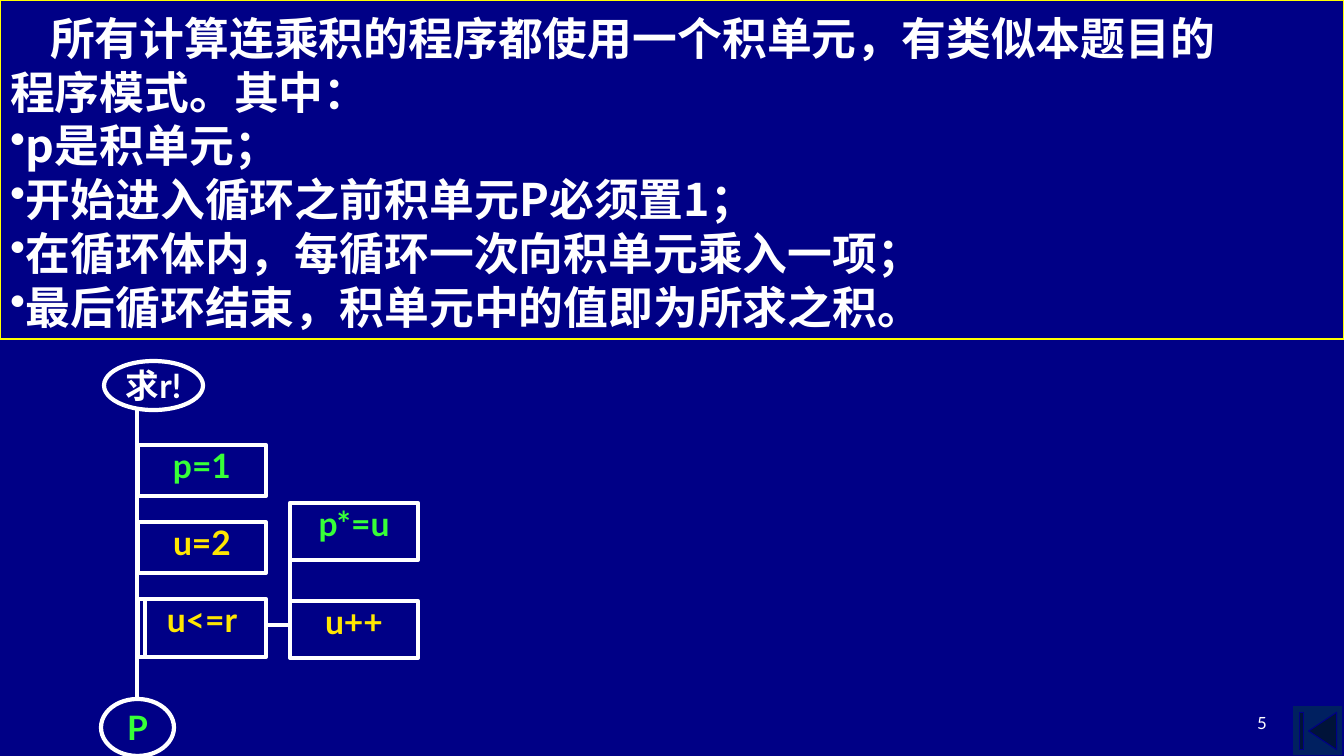
from lxml import etree
from pptx import Presentation
from pptx.dml.color import RGBColor
from pptx.enum.shapes import MSO_CONNECTOR, MSO_SHAPE
from pptx.enum.text import MSO_ANCHOR, PP_ALIGN
from pptx.oxml.ns import qn
from pptx.util import Pt

PX = 914400 / 100.8
LATIN, CJK = "Lato", "Noto Sans CJK SC"
NAVY = RGBColor(0x00, 0x00, 0x86)
BUTTON_BLUE = RGBColor(0x00, 0x20, 0x60)
WHITE = RGBColor(0xFF, 0xFF, 0xFF)
YELLOW = RGBColor(0xFF, 0xFF, 0x00)
GOLD = RGBColor(0xFF, 0xE7, 0x01)
GREEN = RGBColor(0x37, 0xFF, 0x37)

INTRO = ["所有计算连乘积的程序都使用一个积单元，有类似本题目的", "程序模式。其中："]
POINTS = [
    "p是积单元；",
    "开始进入循环之前积单元P必须置1；",
    "在循环体内，每循环一次向积单元乘入一项；",
    "最后循环结束，积单元中的值即为所求之积。",
]
PAGE_NUMBER = "5"

# text, colour, (left, top, width, height)
TERMINALS = [
    ("求r!", WHITE, (104, 361, 99, 49)),
    ("P", GREEN, (101, 699, 73, 57)),
]
# left, first top, pitch, then text, colour and height of each step
STEP_COLUMNS = [
    (138, 445, 77, [("p=1", GREEN, 51), ("u=2", GOLD, 51), ("u<=r", GOLD, 58)]),
    (290, 503, 98, [("p*=u", GREEN, 57), ("u++", GOLD, 57)]),
]
STEP_WIDTH = 128
# trunk, loop body, link to the body, loop bar
LINES = [
    (137, 410, 137, 699),
    (290, 522, 290, 656),
    (265, 625, 290, 625),
    (145, 601, 145, 658),
]


def px(*lengths):
    return [round(length * PX) for length in lengths]


def add_outline(slide, kind, box, color, weight):
    shape = slide.shapes.add_shape(kind, *px(*box))
    shape.shadow.inherit = False
    shape.fill.background()
    shape.line.color.rgb = color
    shape.line.width = Pt(weight)
    return shape


def write(shape, lines, size=24, color=WHITE, bold=True, font=LATIN, wrap=True,
          align=PP_ALIGN.CENTER, anchor=MSO_ANCHOR.MIDDLE, insets=(10, 5, 10, 5),
          spacing=None, first_indent=0, bullets_from=None):
    """Fill a shape with one paragraph per line; lines from bullets_from on get bullets."""
    frame = shape.text_frame
    frame.word_wrap = wrap
    frame.vertical_anchor = anchor
    (frame.margin_left, frame.margin_top,
     frame.margin_right, frame.margin_bottom) = px(*insets)
    for index, line in enumerate(lines):
        paragraph = frame.paragraphs[0] if index == 0 else frame.add_paragraph()
        properties = paragraph._p.get_or_add_pPr()
        if index == 0 and first_indent:
            properties.set("indent", str(px(first_indent)[0]))
        if bullets_from is not None and index >= bullets_from:
            properties.set("marL", "0")
            properties.set("indent", "0")
            etree.SubElement(properties, qn("a:buChar"), char="•")
        paragraph.alignment = align
        if spacing:
            paragraph.line_spacing = Pt(spacing)
        run = paragraph.add_run()
        run.text = line
        run.font.size = Pt(size)
        run.font.bold = bold
        run.font.color.rgb = color
        run.font.name = font
        etree.SubElement(run.font._element, qn("a:ea"), typeface=CJK)


def add_line(slide, ends):
    line = slide.shapes.add_connector(MSO_CONNECTOR.STRAIGHT, *px(*ends))
    line.line.color.rgb = WHITE
    line.line.width = Pt(3)
    etree.SubElement(line._element.spPr, qn("a:effectLst"))


def main():
    prs = Presentation()
    prs.slide_width, prs.slide_height = px(1344, 756)
    slide = prs.slides.add_slide(prs.slide_layouts[6])
    slide.background.fill.solid()
    slide.background.fill.fore_color.rgb = NAVY

    button = add_outline(slide, MSO_SHAPE.ACTION_BUTTON_BEGINNING,
                         (1293, 706, 50, 50), NAVY, 0.75)
    button.fill.solid()
    button.fill.fore_color.rgb = BUTTON_BLUE

    page = slide.shapes.add_textbox(*px(964, 688, 313, 50))
    write(page, [PAGE_NUMBER], size=12, bold=False, align=PP_ALIGN.RIGHT,
          anchor=MSO_ANCHOR.BOTTOM)

    for ends in LINES:
        add_line(slide, ends)
    for text, color, box in TERMINALS:
        terminal = add_outline(slide, MSO_SHAPE.OVAL, box, WHITE, 3)
        write(terminal, [text], color=color, wrap=False)
    for left, top, pitch, steps in STEP_COLUMNS:
        for row, (text, color, height) in enumerate(steps):
            box = (left, top + row * pitch, STEP_WIDTH, height)
            step = add_outline(slide, MSO_SHAPE.RECTANGLE, box, WHITE, 3)
            write(step, [text], color=color, anchor=MSO_ANCHOR.TOP, insets=(0, 0, 0, 0))

    summary = add_outline(slide, MSO_SHAPE.RECTANGLE, (0, 0, 1344, 339), YELLOW, 2)
    write(summary, INTRO + POINTS, size=32, font=CJK, align=PP_ALIGN.LEFT,
          insets=(10, 10, 10, 5), spacing=38.5, first_indent=40,
          bullets_from=len(INTRO))

    prs.save("out.pptx")


if __name__ == "__main__":
    main()
